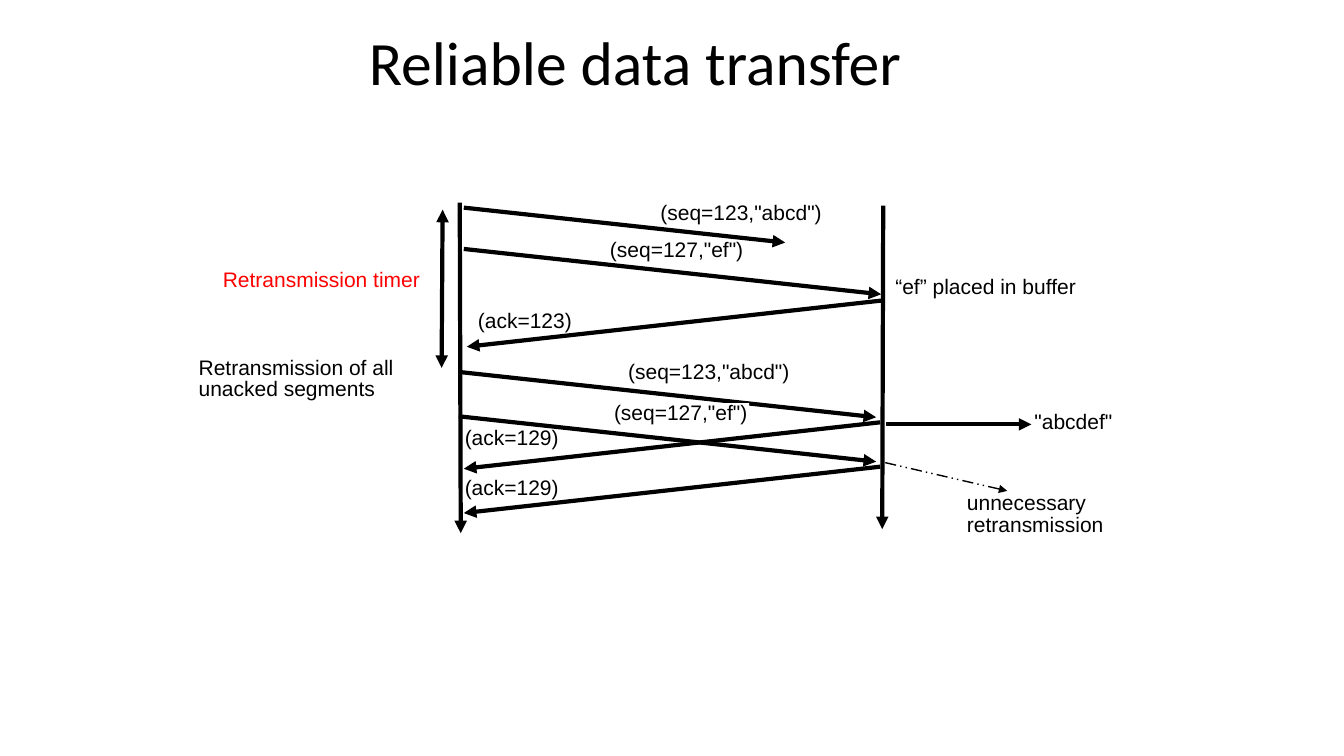
from lxml.etree import SubElement
from pptx import Presentation
from pptx.dml.color import RGBColor
from pptx.enum.dml import MSO_LINE as Dash
from pptx.enum.shapes import MSO_CONNECTOR as Connector
from pptx.enum.text import MSO_ANCHOR as Anchor, MSO_AUTO_SIZE as AutoSize, PP_ALIGN as Align
from pptx.oxml.ns import qn
from pptx.util import Inches, Pt

CELL = 0.5  # side of one grid cell in inches; all positions are in cells
BLACK, RED, WHITE = "000000", "FF0000", "FFFFFF"


def color(code):
    return RGBColor.from_string(code)


def cells(*lengths):
    return [Inches(CELL * length) for length in lengths]


class SequenceDiagram:
    font, size, spacing, weight = "Arial", 15, 0.84, 3
    data_step = (8.28, 0.9)
    ack_step = (-8.26, 0.92)

    def __init__(self, slide):
        self.slide = slide

    def set_text(self, box, lines, font, size, ink):
        frame = box.text_frame
        frame.vertical_anchor = Anchor.MIDDLE
        paragraph = frame.paragraphs[0]
        for index, line in enumerate(lines):
            if index:
                paragraph.add_line_break()
            paragraph.add_run().text = line
        paragraph.alignment = Align.LEFT
        paragraph.line_spacing = self.spacing
        paragraph.font.name = font
        paragraph.font.size = Pt(size)
        paragraph.font.color.rgb = color(ink)
        return frame

    def title(self, text, x, y, width, height):
        box = self.slide.shapes.add_textbox(*cells(x, y, width, height))
        self.set_text(box, [text], "Calibri", 44, BLACK).word_wrap = True

    def label(self, lines, x, y, width, ink=BLACK, fill=None):
        height = 0.44 * len(lines)
        box = self.slide.shapes.add_textbox(*cells(x, y, width, height))
        if fill:
            box.fill.solid()
            box.fill.fore_color.rgb = color(fill)
        frame = self.set_text(box, lines, self.font, self.size, ink)
        frame.margin_left = frame.margin_right = 0
        frame.margin_top = frame.margin_bottom = 0
        frame.word_wrap = False
        frame.auto_size = AutoSize.SHAPE_TO_FIT_TEXT

    def arrow(self, start, end, weight=weight, dash=None, both_ends=False):
        arrow = self.slide.shapes.add_connector(Connector.STRAIGHT, *cells(*start, *end))
        arrow.line.color.rgb = color(BLACK)
        arrow.line.width = Pt(weight)
        if dash:
            arrow.line.dash_style = dash
        outline = arrow._element.spPr.find(qn("a:ln"))
        for tip in ["headEnd", "tailEnd"] if both_ends else ["tailEnd"]:
            SubElement(outline, qn(f"a:{tip}"), type="triangle")
        SubElement(arrow._element.spPr, qn("a:effectLst"))

    def message(self, start, step, text, label_at, reach=1, fill=None):
        end = [origin + reach * delta for origin, delta in zip(start, step)]
        self.arrow(start, end)
        self.label([text], *label_at, fill=fill)

    def data(self, start, text, label_at, **options):
        self.message(start, self.data_step, text, label_at, **options)

    def ack(self, start, text, label_at):
        self.message(start, self.ack_step, text, label_at)


def main():
    deck = Presentation()
    deck.slide_width, deck.slide_height = Inches(13.33), Inches(7.5)
    diagram = SequenceDiagram(deck.slides.add_slide(deck.slide_layouts[6]))
    diagram.title("Reliable data transfer", 7.12, 0, 15.66, 2.64)

    # Time lines of sender and receiver
    diagram.arrow((9.12, 4.02), (9.14, 10.58))
    diagram.arrow((17.52, 4.08), (17.5, 10.5))

    # First transmission: the first segment is lost
    diagram.data((9.2, 4.94), '(seq=127,"ef")', (12.1, 4.76, 2.68))
    diagram.data((9.2, 4.12), '(seq=123,"abcd")', (13.1, 4.02, 3.24), reach=0.77)
    diagram.ack((17.52, 5.96), "(ack=123)", (9.48, 6.18, 1.88))

    # Retransmission of both segments
    diagram.data((9.1, 7.38), '(seq=123,"abcd")', (12.46, 7.18, 3.24))
    diagram.data((9.1, 8.26), '(seq=127,"ef")', (12.18, 8, 2.68), fill=WHITE)
    diagram.ack((17.46, 8.38), "(ack=129)", (9.22, 8.5, 1.88))
    diagram.ack((17.46, 9.26), "(ack=129)", (9.22, 9.48, 1.88))

    # Sender side: timer and its expiry
    diagram.arrow((8.78, 4.16), (8.76, 7.3), both_ends=True)
    diagram.label(["Retransmission timer"], 4.42, 5.36, 3.96, ink=RED)
    diagram.label(["Retransmission of all", "unacked segments"], 3.94, 7.1, 4.02)

    # Receiver side: buffering, delivery and the surplus segment
    diagram.label(["“ef” placed in buffer"], 17.76, 5.5, 3.76)
    diagram.arrow((17.58, 8.42), (20.46, 8.42))
    diagram.label(['"abcdef"'], 20.52, 8.18, 1.56)
    diagram.arrow((17.56, 9.18), (19.98, 9.74), weight=1, dash=Dash.DASH_DOT_DOT)
    diagram.label(["unnecessary", "retransmission"], 19.18, 9.78, 2.78)

    deck.save("out.pptx")


if __name__ == "__main__":
    main()
